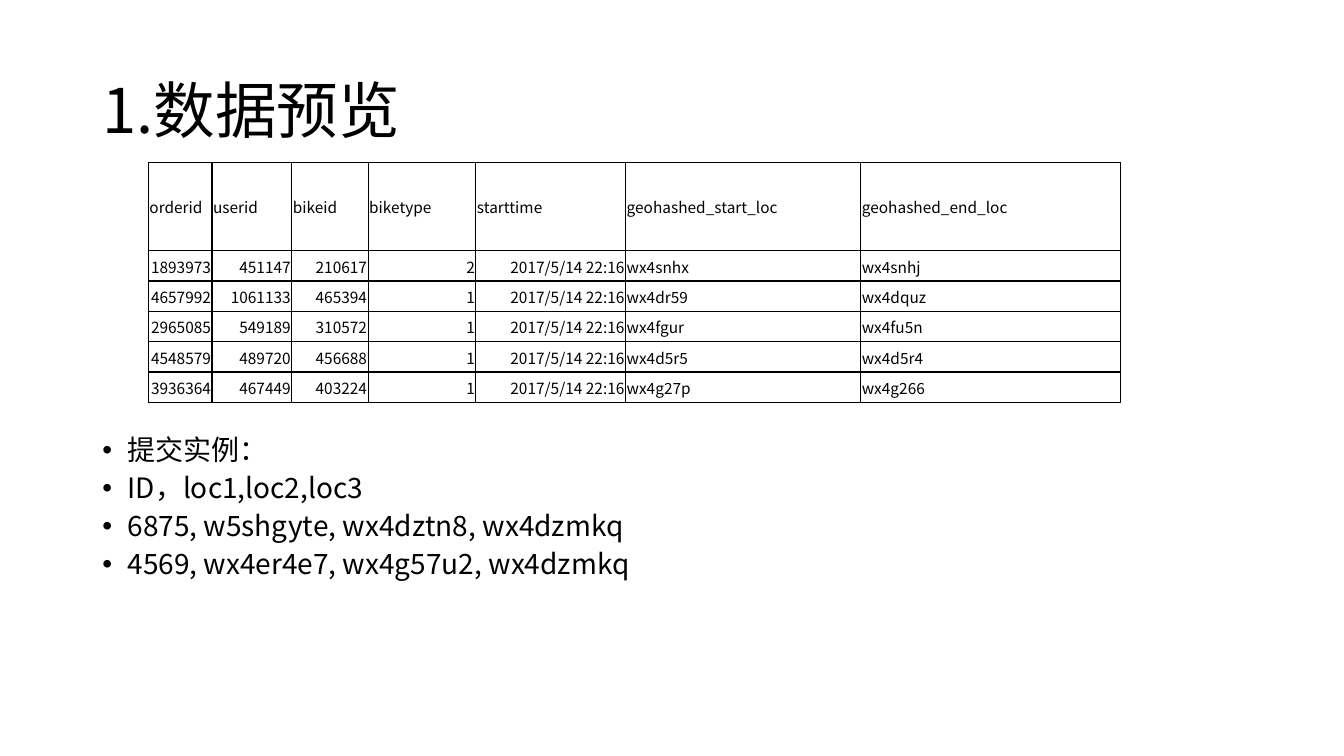
from dataclasses import dataclass

from lxml.etree import SubElement
from pptx import Presentation
from pptx.dml.color import RGBColor
from pptx.enum.text import MSO_ANCHOR, PP_ALIGN
from pptx.oxml.ns import qn
from pptx.util import Pt


@dataclass(frozen=True)
class Theme:
    font: str = "Noto Sans CJK SC"
    ink: str = "000000"
    title_size: float = 44
    body_size: float = 20
    table_size: float = 11
    border_width: float = 1


THEME = Theme()

HEADERS = ["orderid", "userid", "bikeid", "biketype", "starttime",
           "geohashed_start_loc", "geohashed_end_loc"]
START_TIME = "2017/5/14 22:16"
RIDES = [
    ["1893973", "451147", "210617", "2", START_TIME, "wx4snhx", "wx4snhj"],
    ["4657992", "1061133", "465394", "1", START_TIME, "wx4dr59", "wx4dquz"],
    ["2965085", "549189", "310572", "1", START_TIME, "wx4fgur", "wx4fu5n"],
    ["4548579", "489720", "456688", "1", START_TIME, "wx4d5r5", "wx4d5r4"],
    ["3936364", "467449", "403224", "1", START_TIME, "wx4g27p", "wx4g266"],
]
COLUMN_WIDTHS = [45.5, 57, 54.5, 77, 107, 168, 185.5]
HEADER_HEIGHT, RIDE_HEIGHT = 63, 21.7
NUMERIC_COLUMNS = 5

SUBMISSION_LINES = [
    "提交实例：",
    "ID，loc1,loc2,loc3",
    "6875, w5shgyte, wx4dztn8, wx4dzmkq",
    "4569, wx4er4e7, wx4g57u2, wx4dzmkq",
]


def add_text(paragraph, text, size):
    run = paragraph.add_run()
    run.text = text
    run.font.size = Pt(size)
    run.font.name = THEME.font
    run.font.color.rgb = RGBColor.from_string(THEME.ink)
    east_asian = SubElement(run.font._element, qn("a:ea"))
    east_asian.set("typeface", THEME.font)


def add_text_frame(slide, left, top, width, height, anchor):
    box = slide.shapes.add_textbox(Pt(left), Pt(top), Pt(width), Pt(height))
    box.text_frame.word_wrap = True
    box.text_frame.vertical_anchor = anchor
    return box.text_frame


def add_title(slide, text):
    frame = add_text_frame(slide, 66, 29, 828, 104.4, MSO_ANCHOR.MIDDLE)
    paragraph = frame.paragraphs[0]
    paragraph.line_spacing = 0.9
    add_text(paragraph, text, THEME.title_size)


def add_bullets(slide, lines):
    frame = add_text_frame(slide, 66, 308, 828, 150, MSO_ANCHOR.TOP)
    for index, line in enumerate(lines):
        paragraph = frame.add_paragraph() if index else frame.paragraphs[0]
        paragraph.line_spacing = 0.9
        paragraph.space_before = Pt(5.5 if index else 0)
        properties = paragraph._p.get_or_add_pPr()
        properties.set("marL", str(Pt(18)))
        properties.set("indent", str(-Pt(18)))
        SubElement(properties, qn("a:buFont")).set("typeface", "Arial")
        SubElement(properties, qn("a:buChar")).set("char", "•")
        add_text(paragraph, line, THEME.body_size)


def set_borders(cell):
    properties = cell._tc.get_or_add_tcPr()
    for position, side in enumerate(("a:lnL", "a:lnR", "a:lnT", "a:lnB")):
        line = properties.makeelement(qn(side), {"w": str(Pt(THEME.border_width))})
        fill = SubElement(line, qn("a:solidFill"))
        SubElement(fill, qn("a:srgbClr")).set("val", THEME.ink)
        properties.insert(position, line)


def fill_cell(cell, text, alignment):
    cell.fill.background()
    cell.vertical_anchor = MSO_ANCHOR.MIDDLE
    cell.margin_left = cell.margin_top = cell.margin_right = Pt(0.75)
    cell.margin_bottom = Pt(0)
    paragraph = cell.text_frame.paragraphs[0]
    paragraph.alignment = alignment
    add_text(paragraph, text, THEME.table_size)
    set_borders(cell)


def add_ride_table(slide, left, top):
    rows = [HEADERS] + RIDES
    heights = [HEADER_HEIGHT] + [RIDE_HEIGHT] * len(RIDES)
    table = slide.shapes.add_table(
        len(rows), len(HEADERS), Pt(left), Pt(top),
        Pt(sum(COLUMN_WIDTHS)), Pt(sum(heights))).table
    table.first_row = table.horz_banding = False
    for column, width in zip(table.columns, COLUMN_WIDTHS):
        column.width = Pt(width)
    for row_index, (values, height) in enumerate(zip(rows, heights)):
        table.rows[row_index].height = Pt(height)
        for column_index, value in enumerate(values):
            is_number = row_index > 0 and column_index < NUMERIC_COLUMNS
            alignment = PP_ALIGN.RIGHT if is_number else PP_ALIGN.LEFT
            fill_cell(table.cell(row_index, column_index), value, alignment)


def main():
    presentation = Presentation()
    presentation.slide_width, presentation.slide_height = Pt(960), Pt(540)
    slide = presentation.slides.add_slide(presentation.slide_layouts[6])

    # Heading
    add_title(slide, "1.数据预览")
    # Submission example
    add_bullets(slide, SUBMISSION_LINES)
    # Ride data preview
    add_ride_table(slide, 106, 116)

    presentation.save("out.pptx")


if __name__ == "__main__":
    main()
